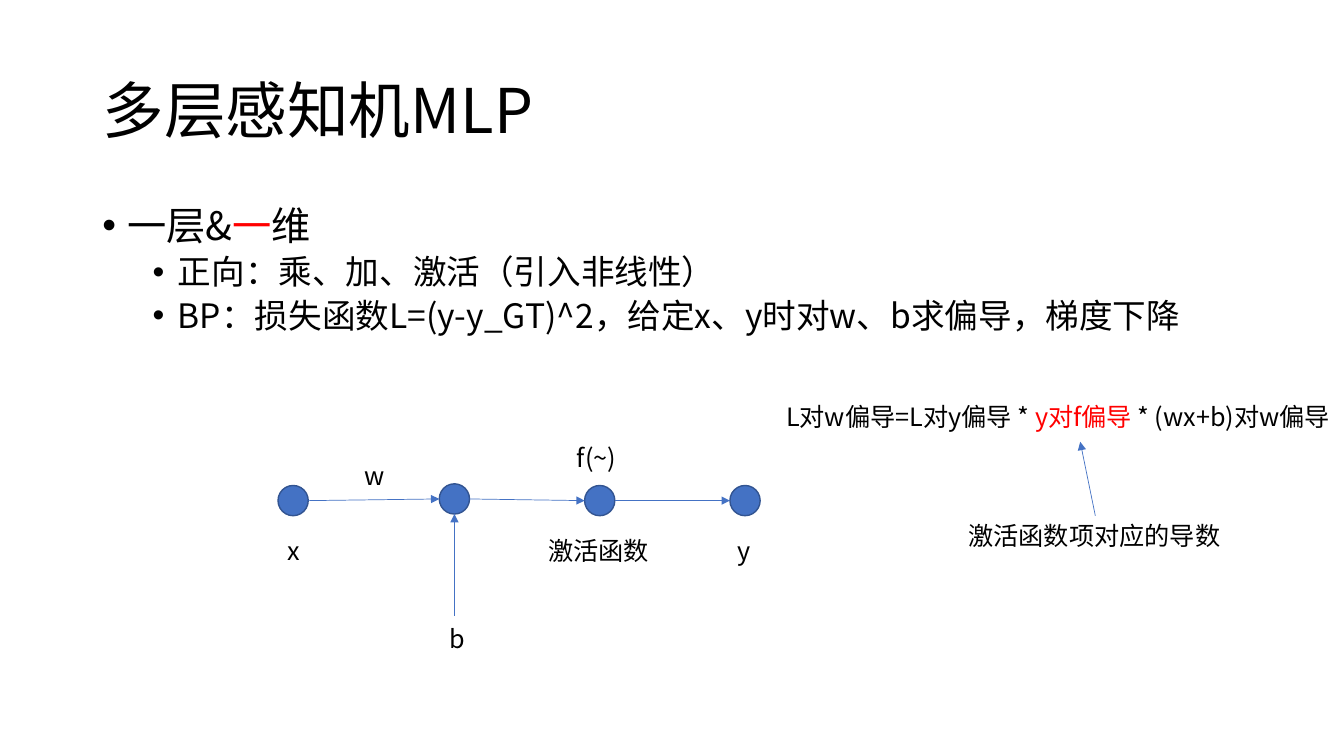
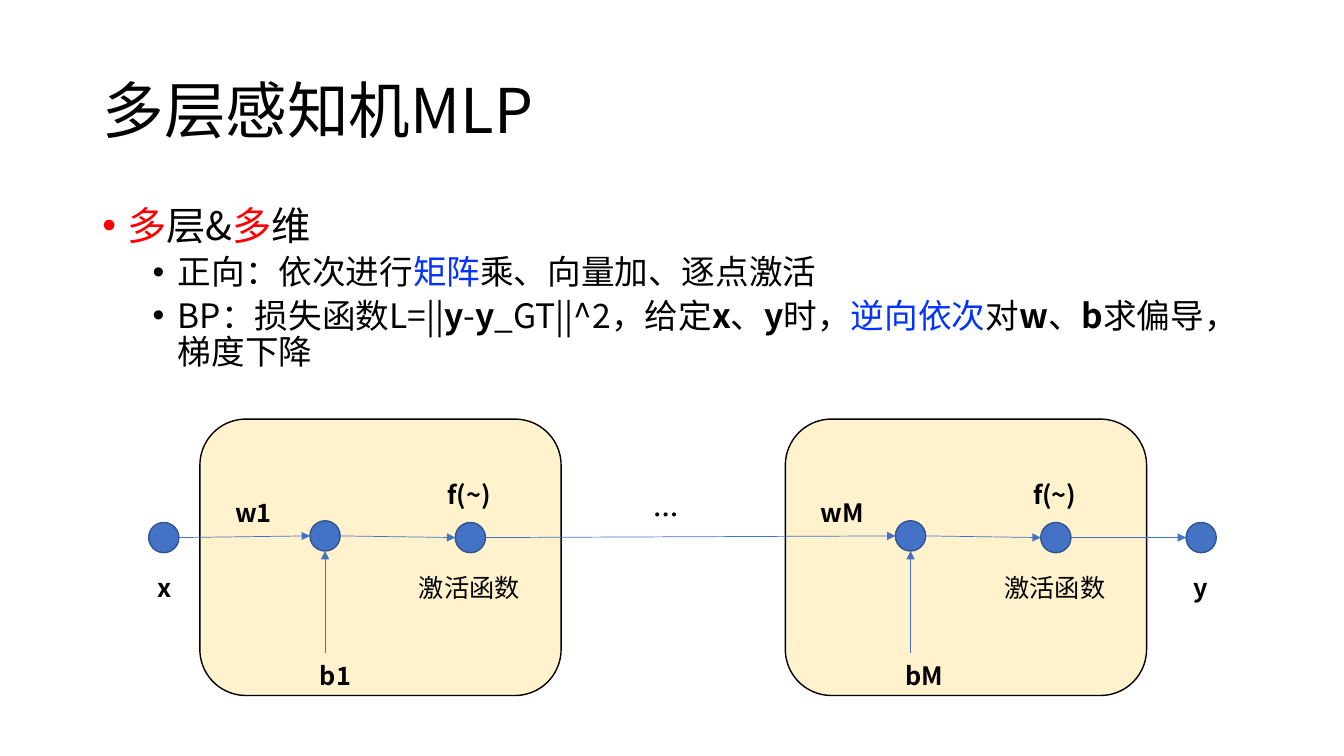
from lxml.etree import SubElement
from pptx import Presentation
from pptx.dml.color import RGBColor
from pptx.enum.shapes import MSO_CONNECTOR as Connector, MSO_SHAPE as Shape
from pptx.enum.text import MSO_ANCHOR as Anchor, PP_ALIGN as Align
from pptx.oxml.ns import qn
from pptx.util import Inches, Pt

COLORS = {
    "black": "000000",
    "red": "FF0000",
    "blue": "0432FF",
    "node": "4472C4",
    "node edge": "325491",
    "panel": "FFF2CC",
}
FONT = "Noto Sans CJK SC"
COLUMNS, ROWS = 16, 9
CELL = Inches(7.5) // ROWS
RADIUS = 0.18
LIFT = 0.02
INPUT_GAP, NODE_GAP = 1.92, 1.73
TITLE = "多层感知机MLP"
BULLETS = [
    {"size": 28, "margin": 0.25, "before": 0},
    {"size": 24, "margin": 0.75, "before": 5},
]


def color(name):
    """Return the named colour."""
    return RGBColor.from_string(COLORS[name])


def apply(target, values):
    """Set attributes of an object from a dict."""
    for name, value in values.items():
        setattr(target, name, value)


class Sketch:
    """Draws styled elements on the current slide, in grid cells."""

    def __init__(self):
        """Open an empty deck."""
        self.deck = Presentation()
        apply(self.deck, {"slide_width": COLUMNS * CELL, "slide_height": ROWS * CELL})
        self.page = None

    def cells(self, *lengths):
        """Convert grid lengths to slide units."""
        return [round(length * CELL) for length in lengths]

    def start(self, title):
        """Add a slide with its title."""
        self.page = self.deck.slides.add_slide(self.deck.slide_layouts[5])
        box = self.page.shapes.title
        apply(box, dict(zip(("left", "top", "width", "height"), self.cells(1.1, 0.48, 13.8, 1.74))))
        apply(box.text_frame, {"vertical_anchor": Anchor.MIDDLE, "word_wrap": True})
        para = box.text_frame.paragraphs[0]
        apply(para, {"alignment": Align.LEFT, "line_spacing": 0.9})
        self.add_spans(para, [(title,)], 44)

    def add_spans(self, para, spans, size):
        """Add spans of text, each followed by its colour or bold marks."""
        for text, *marks in spans:
            span = para.add_run()
            span.text = text
            shade = next((mark for mark in marks if mark in COLORS), "black")
            apply(span.font, {"size": Pt(size), "name": FONT, "bold": "bold" in marks})
            span.font.color.rgb = color(shade)
            SubElement(span.font._element, qn("a:ea"), typeface=FONT)

    def frame(self, left, top, width, height):
        """Add a wrapping text box and return its frame."""
        box = self.page.shapes.add_textbox(*self.cells(left, top, width, height))
        box.text_frame.word_wrap = True
        return box.text_frame

    def label(self, left, top, spans, width=0.9):
        """Add a short text."""
        self.add_spans(self.frame(left, top, width, 0.48).paragraphs[0], spans, 18)

    def bullets(self, items):
        """Add the bulleted body from levels and spans."""
        frame = self.frame(1.1, 2.4, 13.8, 5.71)
        for index, (level, spans) in enumerate(items):
            para = frame.add_paragraph() if index else frame.paragraphs[0]
            style = BULLETS[level]
            properties = para._p.get_or_add_pPr()
            properties.set("marL", str(Inches(style["margin"])))
            properties.set("indent", str(Inches(-0.25)))
            SubElement(properties, qn("a:buFont"), typeface="Arial")
            SubElement(properties, qn("a:buChar"), char="•")
            apply(para, {"level": level, "line_spacing": 0.9, "space_before": Pt(style["before"])})
            self.add_spans(para, spans, style["size"])

    def shape(self, kind, area, fill, edge):
        """Add a filled and outlined shape."""
        shape = self.page.shapes.add_shape(kind, *self.cells(*area))
        shape.shadow.inherit = False
        shape.fill.solid()
        shape.fill.fore_color.rgb = color(fill)
        shape.line.color.rgb = color(edge)
        shape.line.width = Pt(1)

    def node(self, x, y):
        """Add a neuron centred on a point."""
        area = (x - RADIUS, y - RADIUS, 2 * RADIUS, 2 * RADIUS)
        self.shape(Shape.OVAL, area, "node", "node edge")

    def panel(self, x, y):
        """Add the rounded background of a layer summing at a point."""
        self.shape(Shape.ROUNDED_RECTANGLE, (x - 1.49, y - 1.41, 4.3, 3.29), "panel", "black")

    def arrow(self, *ends):
        """Add a thin arrow between two points."""
        arrow = self.page.shapes.add_connector(Connector.STRAIGHT, *self.cells(*ends))
        arrow.line.color.rgb = color("node")
        arrow.line.width = Pt(0.5)
        SubElement(arrow.line._get_or_add_ln(), qn("a:tailEnd"), type="triangle")
        SubElement(arrow._element.spPr, qn("a:effectLst"))

    def link(self, start, start_y, end, end_y):
        """Join two neurons from edge to edge."""
        self.arrow(start + RADIUS, start_y, end - RADIUS, end_y)

    def layer(self, source, x, y, weight, bias, *marks):
        """Add one layer and return the column of its output neuron."""
        output = x + NODE_GAP
        self.node(x, y - LIFT)
        self.node(output, y)
        self.link(source, y, x, y - LIFT)
        self.link(x, y - LIFT, output, y)
        self.arrow(x, y + 1.37, x, y - LIFT + RADIUS)
        self.label(x - 1.19, y - 0.54, [(weight, *marks)])
        self.label(x - 0.18, y + 1.4, [(bias, *marks)])
        self.label(x + 1.34, y - 0.75, [("f(~)", *marks)])
        self.label(x + 1, y + 0.35, [("激活函数",)], 1.5)
        return output

    def network(self, x, y, layers, *marks):
        """Add the input, the layers and the output of a network."""
        self.node(x, y)
        self.label(x - 0.19, y + 0.36, [("x", *marks)])
        source = x
        for column, weight, bias in layers:
            source = self.layer(source, column, y, weight, bias, *marks)
        end = source + NODE_GAP
        self.node(end, y)
        self.link(source, y, end, y)
        self.label(end - 0.21, y + 0.36, [("y", *marks)])


def single_layer(sketch):
    """Build the slide on one layer and one dimension."""
    sketch.start(TITLE)
    sketch.bullets([
        (0, [("一层&",), ("一", "red"), ("维",)]),
        (1, [("正向：乘、加、激活（引入非线性）",)]),
        (1, [("BP：损失函数L=(y-y_GT)^2，给定x、y时对w、b求偏导，梯度下降",)]),
    ])
    x, y = 3.49, 5.96
    sketch.network(x, y, [(x + INPUT_GAP, "w", "b")])
    formula = [("L对w偏导=L对y偏导 * ",), ("y对f偏导", "red"), (" * (wx+b)对w偏导",)]
    sketch.label(9.24, 4.72, formula, 6.76)
    sketch.label(11.41, 6.14, [("激活函数项对应的导数",)], 3.4)
    sketch.arrow(13.04, 6.14, 12.86, 5.26)


def many_layers(sketch):
    """Build the slide on many layers and dimensions."""
    sketch.start(TITLE)
    sketch.bullets([
        (0, [("多", "red"), ("层&",), ("多", "red"), ("维",)]),
        (1, [("正向：依次进行",), ("矩阵", "blue"), ("乘、向量加、逐点激活",)]),
        (1, [
            ("BP：损失函数L=||",), ("y", "bold"), ("-",), ("y", "bold"),
            ("_GT||^2，给定",), ("x", "bold"), ("、",), ("y", "bold"), ("时，",),
            ("逆向依次", "blue"), ("对",), ("w", "bold"), ("、",), ("b", "bold"),
            ("求偏导，梯度下降",),
        ]),
    ])
    x, y = 1.95, 6.4
    first = x + INPUT_GAP
    last = first + 6.97
    for column in (first, last):
        sketch.panel(column, y)
    sketch.network(x, y, [(first, "w1", "b1"), (last, "wM", "bM")], "bold")
    sketch.label(7.66, 5.89, [("…", "bold")])


def main():
    """Build and save the deck."""
    sketch = Sketch()
    single_layer(sketch)
    many_layers(sketch)
    sketch.deck.save("out.pptx")


if __name__ == "__main__":
    main()
